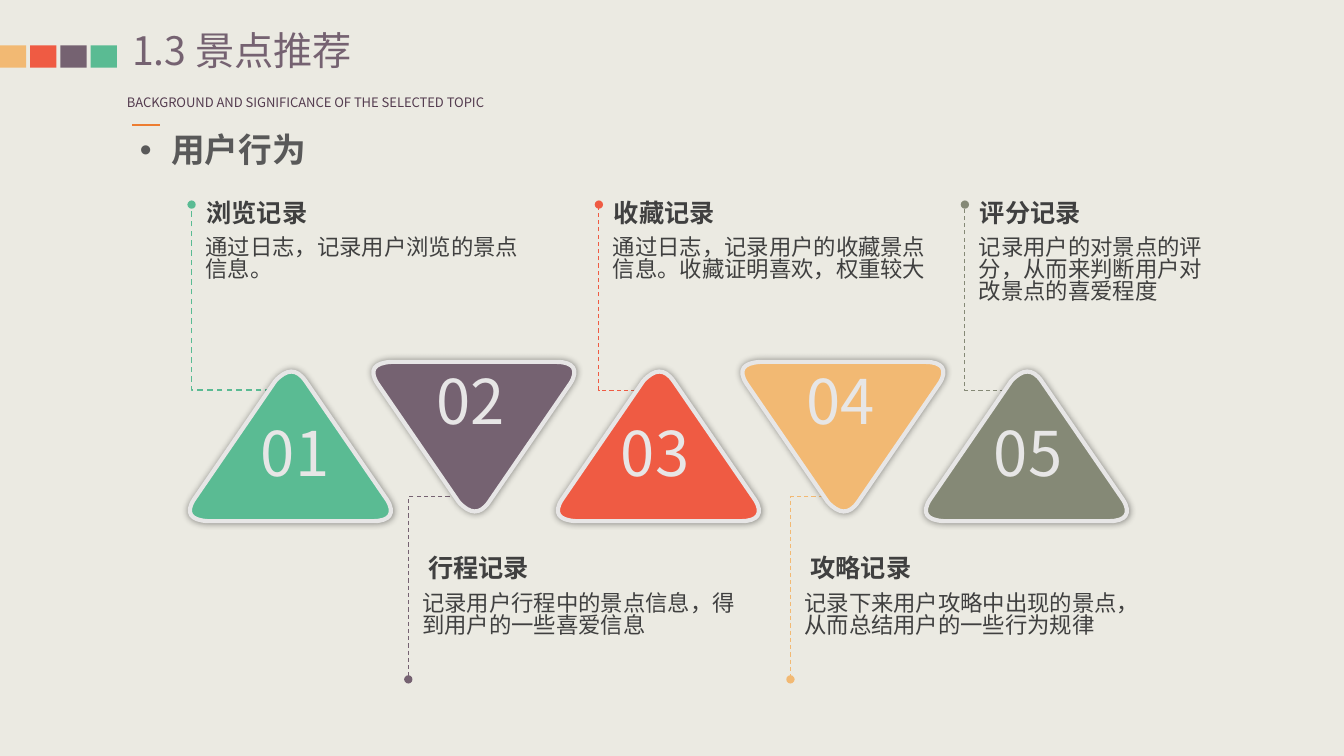
from dataclasses import dataclass

from lxml.etree import SubElement
from pptx import Presentation
from pptx.dml.color import RGBColor
from pptx.enum.dml import MSO_LINE
from pptx.enum.shapes import MSO_CONNECTOR, MSO_SHAPE
from pptx.enum.text import MSO_AUTO_SIZE
from pptx.oxml.ns import qn
from pptx.util import Inches, Pt

COLUMNS, ROWS = 1333, 750
CELL = Inches(13.33) // COLUMNS


@dataclass(frozen=True)
class Theme:
    """Colours, type sizes and font of the slide."""
    font: str = "Noto Sans CJK SC"
    background: str = "EBEAE2"
    green: str = "5ABB93"
    plum: str = "756271"
    red: str = "EF5B43"
    amber: str = "F2B973"
    olive: str = "858976"
    rule: str = "ED7D31"
    subtitle: str = "543C4F"
    heading: str = "595959"
    ink: str = "404040"
    pale: str = "E7E6E6"
    title_size: float = 28
    subtitle_size: float = 9.3
    heading_size: float = 24
    label_size: float = 18
    body_size: float = 16
    number_size: float = 44
    single_spacing: float = 0.89
    body_spacing: float = 0.82


@dataclass(frozen=True)
class Box:
    """A rectangle measured in grid columns and rows."""
    left: int
    top: int
    width: int
    height: int

    def inside(self, left, top, width, height):
        """Return a box placed from this box's top left corner."""
        return Box(self.left + left, self.top + top, width, height)

    def lengths(self):
        """Return the four lengths for a shape."""
        return [CELL * n for n in (self.left, self.top, self.width, self.height)]


@dataclass(frozen=True)
class Step:
    """One kind of user behaviour, with its leader and text positions."""
    number: str
    label: str
    body: str
    colour: str
    number_left: int
    leader_left: int
    leader_width: int
    body_width: int = 344
    leader_weight: float = 0.75


THEME = Theme()
STEPS = [
    Step("01", "浏览记录", "通过日志，记录用户浏览的景点信息。",
         THEME.green, 65, 190, 92, leader_weight=1),
    Step("02", "行程记录", "记录用户行程中的景点信息，得到用户的一些喜爱信息",
         THEME.plum, 57, 405, 66),
    Step("03", "收藏记录", "通过日志，记录用户的收藏景点信息。收藏证明喜欢，权重较大",
         THEME.red, 57, 594, 54),
    Step("04", "攻略记录", "记录下来用户攻略中出现的景点，从而总结用户的一些行为规律",
         THEME.amber, 58, 784, 50),
    Step("05", "评分记录", "记录用户的对景点的评分，从而来判断用户对改景点的喜爱程度",
         THEME.olive, 62, 957, 57, body_width=251),
]
TRIANGLE = [(119, 13), (200, 131), (208, 144), (203, 152), (186, 152),
            (22, 152), (5, 151), (0, 144), (8, 131),
            (89, 13), (100, 1), (110, 0), (119, 13)]
TRIANGLE_STEP = 182.5


def colour(code):
    """Turn a hex code into a colour."""
    return RGBColor.from_string(code)


def add_text(page, box, text, size, ink, bold=False, wrap=True, inset=True,
             bullet=False, spacing=THEME.single_spacing):
    """Write one paragraph in a text box."""
    shape = page.shapes.add_textbox(*box.lengths())
    frame = shape.text_frame
    frame.word_wrap = wrap
    frame.auto_size = MSO_AUTO_SIZE.SHAPE_TO_FIT_TEXT
    if not inset:
        frame.margin_left = frame.margin_right = 0
        frame.margin_top = frame.margin_bottom = 0
    para = frame.paragraphs[0]
    if bullet:
        properties = para._p.get_or_add_pPr()
        properties.set("marL", str(Inches(0.31)))
        properties.set("indent", str(-Inches(0.31)))
        SubElement(properties, qn("a:buFont"), typeface="Arial")
        SubElement(properties, qn("a:buChar"), char="•")
    para.line_spacing = spacing
    span = para.add_run()
    span.text = text
    span.font.size = Pt(size)
    span.font.bold = bold
    span.font.color.rgb = colour(ink)
    span.font.name = THEME.font
    SubElement(span._r.get_or_add_rPr(), qn("a:ea"), typeface=THEME.font)


def add_outline(page, points, close):
    """Build an outline through grid points."""
    builder = page.shapes.build_freeform(*points[0], scale=CELL)
    builder.add_line_segments(points[1:], close=close)
    shape = builder.convert_to_shape()
    shape.shadow.inherit = False
    return shape


def add_header(page, box):
    """Place the accent squares, title, subtitle, rule and heading."""
    for index, fill in enumerate((THEME.amber, THEME.red, THEME.plum, THEME.green)):
        square = page.shapes.add_shape(
            MSO_SHAPE.RECTANGLE, *box.inside(30 * index, 45, 26, 22).lengths())
        square.shadow.inherit = False
        square.fill.solid()
        square.fill.fore_color.rgb = colour(fill)
        square.line.fill.background()
    add_text(page, box.inside(131, 32, 399, 47), "1.3 景点推荐",
             THEME.title_size, THEME.plum, inset=False)
    add_text(page, box.inside(116, 91, 407, 26),
             "BACKGROUND AND SIGNIFICANCE OF THE SELECTED TOPIC",
             THEME.subtitle_size, THEME.subtitle, wrap=False)
    left, top, width, height = box.inside(131, 124, 28, 0).lengths()
    rule = page.shapes.add_connector(
        MSO_CONNECTOR.STRAIGHT, left, top, left + width, top + height)
    rule.line.color.rgb = colour(THEME.rule)
    rule.line.width = Pt(1.5)
    SubElement(rule._element.spPr, qn("a:effectLst"))
    add_text(page, box.inside(129, 128, 186, 50), "用户行为",
             THEME.heading_size, THEME.heading, bold=True, wrap=False, bullet=True)


def add_leader(page, box, step, bend, end):
    """Draw the dashed elbow from a triangle to its dot."""
    left = box.left + step.leader_left
    points = [(left + step.leader_width, box.top + bend),
              (left, box.top + bend), (left, box.top + end)]
    leader = add_outline(page, points, close=False)
    leader.fill.background()
    leader.line.color.rgb = colour(step.colour)
    leader.line.width = Pt(step.leader_weight)
    leader.line.dash_style = MSO_LINE.DASH
    for tag in ("a:headEnd", "a:tailEnd"):
        SubElement(leader.line._ln, qn(tag), type="oval")


def add_triangle(page, box, step, pointing_up):
    """Draw a rounded triangle and its number."""
    points = [(box.left + x, box.top + (y if pointing_up else box.height - y))
              for x, y in TRIANGLE]
    triangle = add_outline(page, points, close=True)
    triangle.fill.solid()
    triangle.fill.fore_color.rgb = colour(step.colour)
    triangle.line.color.rgb = colour(THEME.pale)
    triangle.line.width = Pt(3)
    segments = list(triangle._element.iter(qn("a:lnTo")))
    for start in range(1, len(segments), 4):
        first, *others = segments[start:start + 3]
        first.tag = qn("a:cubicBezTo")
        for segment in others:
            first.append(segment[0])
            segment.getparent().remove(segment)
    effects = triangle._element.spPr.find(qn("a:effectLst"))
    shadow = SubElement(effects, qn("a:outerShdw"), blurRad=str(Pt(5)), dist="0")
    black = SubElement(shadow, qn("a:srgbClr"), val="000000")
    SubElement(black, qn("a:alpha"), val="40000")
    add_text(page, box.inside(step.number_left, 51 if pointing_up else 5, 92, 84),
             step.number, THEME.number_size, THEME.pale)


def add_note(page, box, step, gap):
    """Write the label and description beside a leader."""
    add_text(page, box.inside(gap, 0, 121, 40), step.label,
             THEME.label_size, THEME.ink, bold=True, wrap=False)
    add_text(page, box.inside(4, 37, step.body_width, 64), step.body,
             THEME.body_size, THEME.ink, spacing=THEME.body_spacing)


def add_behaviours(page, box):
    """Alternate the behaviours above and below the row of triangles."""
    for index, step in enumerate(STEPS):
        above = index % 2 == 0
        bend, end, note_top, gap = (193, 9, 0, 5) if above else (299, 480, 353, 10)
        add_leader(page, box, step, bend, end)
        left = round(184 + TRIANGLE_STEP * index)
        add_triangle(page, box.inside(left, 171 if above else 165, 208, 152),
                     step, above)
        add_note(page, box.inside(step.leader_left, note_top, 350, 101), step, gap)


def main():
    """Build and save the slide."""
    deck = Presentation()
    deck.slide_width, deck.slide_height = CELL * COLUMNS, CELL * ROWS
    page = deck.slides.add_slide(deck.slide_layouts[6])
    page.background.fill.solid()
    page.background.fill.fore_color.rgb = colour(THEME.background)
    add_header(page, Box(0, 0, COLUMNS, 178))
    add_behaviours(page, Box(0, 194, COLUMNS, 480))
    deck.save("out.pptx")


if __name__ == "__main__":
    main()
